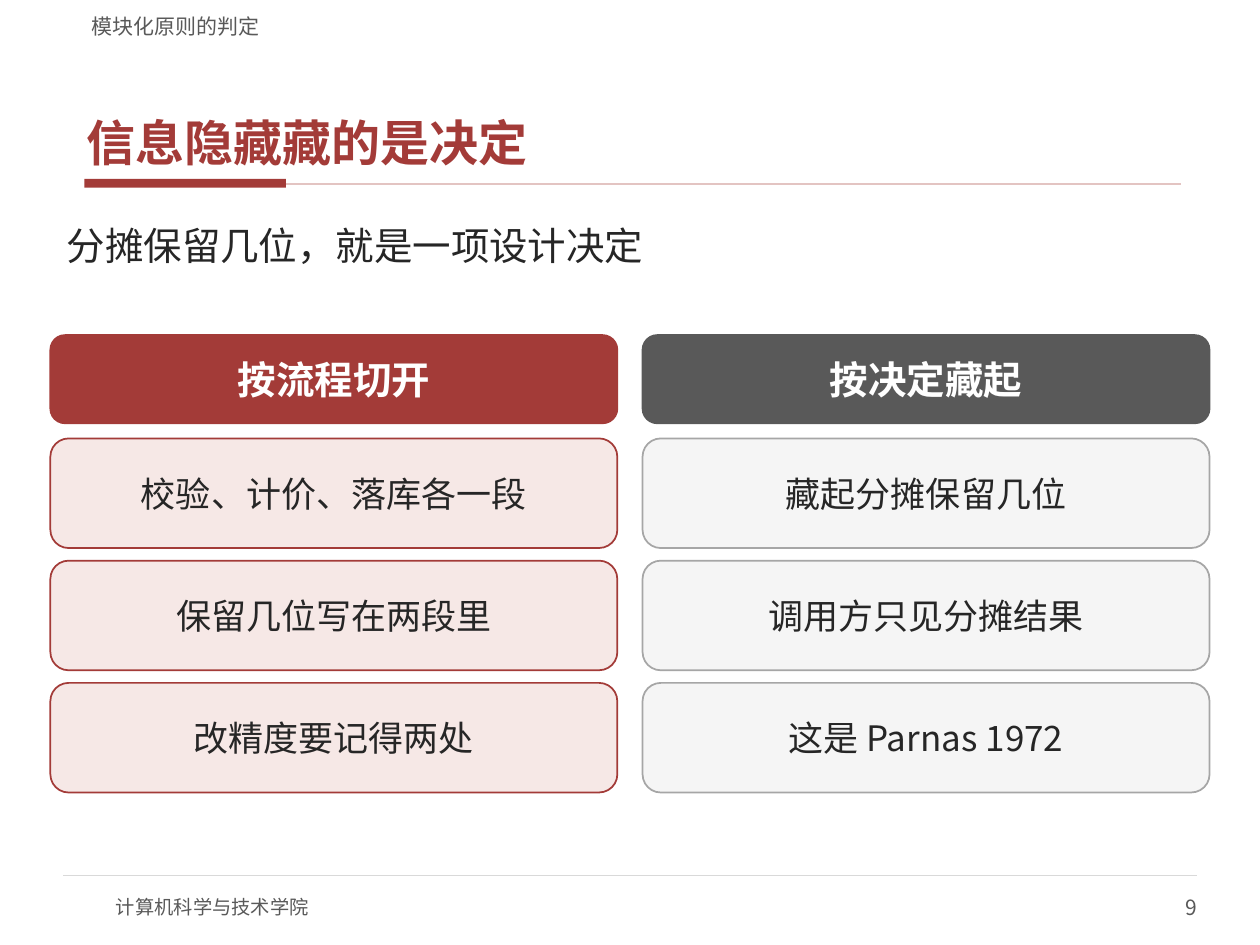
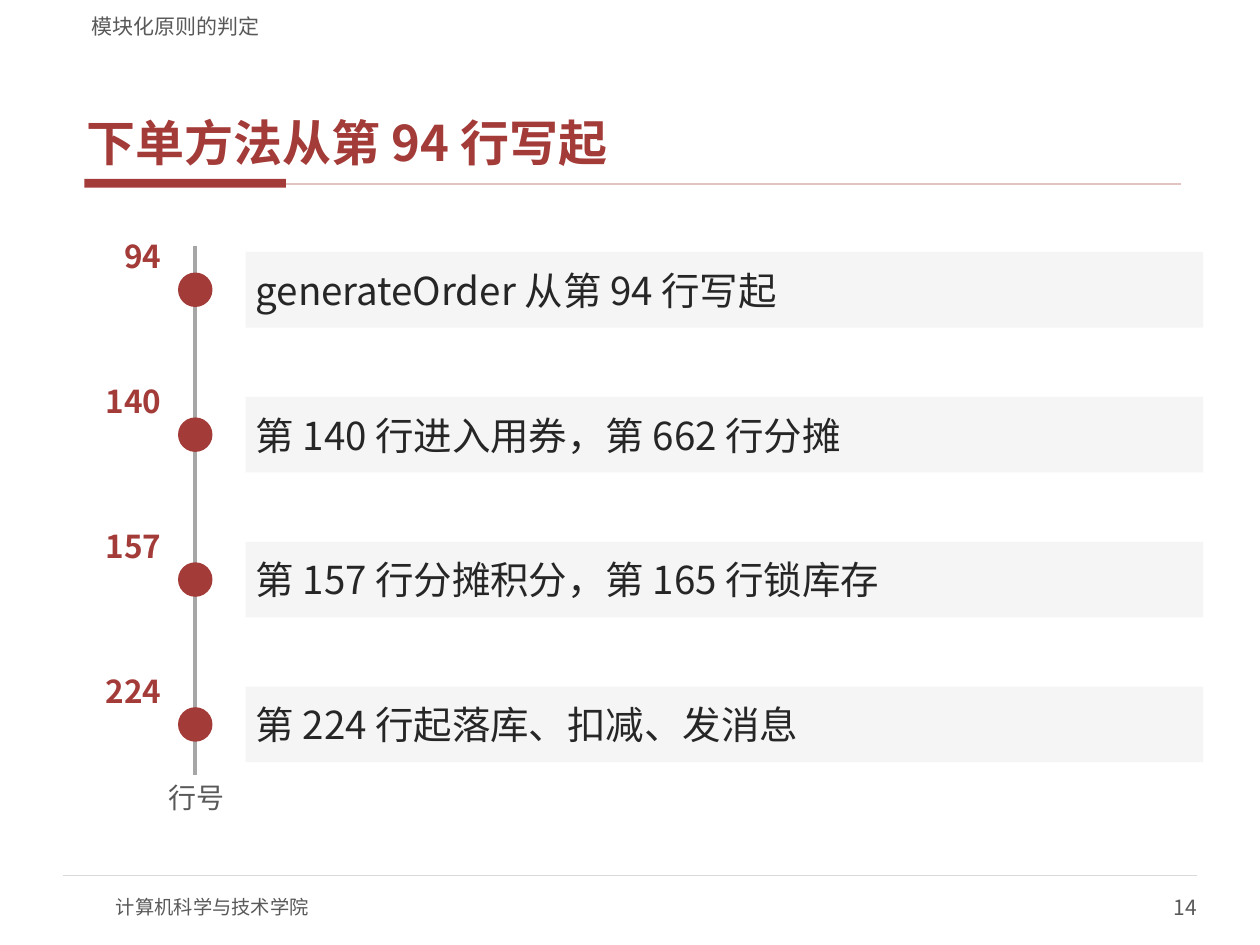
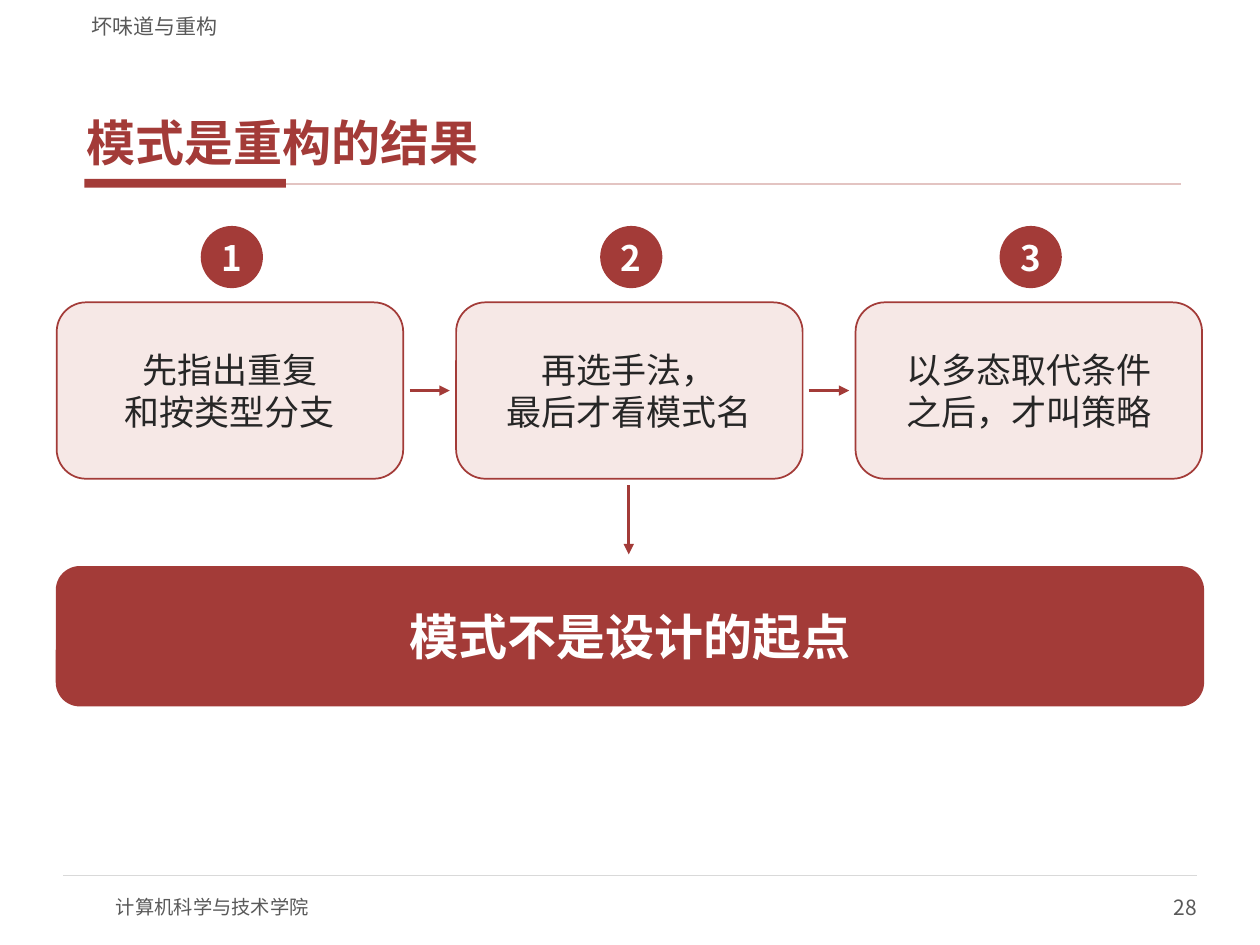
"""Build three lecture slides on modularity and refactoring."""
from lxml.etree import SubElement
from pptx import Presentation
from pptx.dml.color import RGBColor
from pptx.enum.shapes import MSO_CONNECTOR, MSO_SHAPE
from pptx.enum.text import MSO_ANCHOR, MSO_AUTO_SIZE, PP_ALIGN
from pptx.oxml.ns import qn
from pptx.util import Inches, Pt

FONT = "Noto Sans CJK SC"
RED, PINK, ROSE = "A33B38", "F6E8E6", "E3C4C2"
INK, GREY, SILVER, MIST, RULE, WHITE = "262626", "595959", "A6A6A6", "F5F5F5", "D9D9D9", "FFFFFF"
LEFT, CENTER, RIGHT = PP_ALIGN.LEFT, PP_ALIGN.CENTER, PP_ALIGN.RIGHT
RECT, ROUND, OVAL = MSO_SHAPE.RECTANGLE, MSO_SHAPE.ROUNDED_RECTANGLE, MSO_SHAPE.OVAL
color = RGBColor.from_string


def put(page, kind, at, text="", size=20, ink=INK, bold=False, align=LEFT,
        anchor=MSO_ANCHOR.MIDDLE, inset=(0.08, 0.04), fill=None, line=None):
    """Place a preset shape, a text box or the title and write its text."""
    left, top, width, height = [Inches(length) for length in at]
    if kind == "title":
        box = page.shapes.title
        place = {"left": left, "top": top, "width": width, "height": height}
        for name, value in place.items():
            setattr(box, name, value)
    elif kind == "text":
        box = page.shapes.add_textbox(left, top, width, height)
    else:
        box = page.shapes.add_shape(kind, left, top, width, height)
        box.shadow.inherit = False
        box.fill.solid()
        box.fill.fore_color.rgb = color(fill)
        if line:
            box.line.color.rgb = color(line)
            box.line.width = Pt(1)
        else:
            box.line.fill.background()
    if not text:
        return box
    side, edge = Inches(inset[0]), Inches(inset[1])
    frame_format = {"word_wrap": True, "auto_size": MSO_AUTO_SIZE.NONE, "vertical_anchor": anchor,
                    "margin_left": side, "margin_right": side,
                    "margin_top": edge, "margin_bottom": edge}
    for name, value in frame_format.items():
        setattr(box.text_frame, name, value)
    para = box.text_frame.paragraphs[0]
    para.text = text
    para.alignment = align
    for span in para.runs:
        for name, value in {"size": Pt(size), "bold": bold, "name": FONT}.items():
            setattr(span.font, name, value)
        span.font.color.rgb = color(ink)
        SubElement(span.font._element, qn("a:ea"), typeface=FONT)
    return box


def link(page, x1, y1, x2, y2, ink, weight, arrow=False):
    """Draw a straight line, with an arrowhead at its end if asked."""
    line = page.shapes.add_connector(
        MSO_CONNECTOR.STRAIGHT, Inches(x1), Inches(y1), Inches(x2), Inches(y2))
    line.line.color.rgb = color(ink)
    line.line.width = Pt(weight)
    properties = line.element.spPr
    if arrow:
        SubElement(properties.find(qn("a:ln")), qn("a:tailEnd"), type="triangle")
    SubElement(properties, qn("a:effectLst"))
    return line


deck = Presentation()
deck.slide_width, deck.slide_height = Inches(10), Inches(7.5)
layout = deck.slide_layouts[5]
for holder in list(layout.placeholders)[1:]:
    holder.element.getparent().remove(holder.element)

headings = [
    ("模块化原则的判定", "信息隐藏藏的是决定", 9),
    ("模块化原则的判定", "下单方法从第 94 行写起", 14),
    ("坏味道与重构", "模式是重构的结果", 28),
]
pages = []
for section, title, number in headings:
    page = deck.slides.add_slide(layout)
    heading = put(page, "title", (0.63, 0.33, 8.75, 1.05), title, 28, RED, True,
                  anchor=MSO_ANCHOR.BOTTOM, inset=(0.06, 0.02))
    heading.text_frame.paragraphs[0].space_after = Pt(2)
    put(page, "text", (0.63, 0.04, 8.75, 0.27), section, 12, GREY,
        anchor=MSO_ANCHOR.BOTTOM, inset=(0.1, 0))
    put(page, "text", (7.5, 7, 2, 0.4), str(number), 12, GREY, align=RIGHT, inset=(0, 0))
    pages.append(page)
hiding, timeline, patterns = pages

shared = [
    put(hiding, RECT, (0.67, 1.42, 1.6, 0.07), fill=RED),
    link(hiding, 2.27, 1.46, 9.37, 1.46, ROSE, 1),
    link(hiding, 0.5, 6.95, 9.5, 6.95, RULE, 0.75),
    put(hiding, "text", (0.92, 7, 4, 0.4), "计算机科学与技术学院", 11, GREY, inset=(0, 0)),
]
for shape in shared:
    layout.shapes.element.append(shape.element)

put(hiding, "text", (0.45, 1.72, 9.1, 0.86), "分摊保留几位，就是一项设计决定", 22,
    anchor=MSO_ANCHOR.TOP)
columns = [
    ("按流程切开", RED, PINK, RED, ["校验、计价、落库各一段", "保留几位写在两段里", "改精度要记得两处"]),
    ("按决定藏起", GREY, MIST, SILVER, ["藏起分摊保留几位", "调用方只见分摊结果", "这是 Parnas 1972"]),
]
for column, (header, band, fill, line, cards) in enumerate(columns):
    left = 0.4 + 4.7 * column
    put(hiding, ROUND, (left, 2.66, 4.5, 0.7), header, 22, WHITE, True, CENTER,
        fill=band, line=band)
    for row, card in enumerate(cards):
        put(hiding, ROUND, (left, 3.48 + 0.97 * row, 4.5, 0.87), card, align=CENTER,
            fill=fill, line=line)

link(timeline, 1.55, 1.95, 1.55, 6.15, SILVER, 2.25)
events = [
    ("94", "generateOrder 从第 94 行写起"),
    ("140", "第 140 行进入用券，第 662 行分摊"),
    ("157", "第 157 行分摊积分，第 165 行锁库存"),
    ("224", "第 224 行起落库、扣减、发消息"),
]
for index, (line_number, event) in enumerate(events):
    top = 2 + 1.15 * index
    put(timeline, "text", (0.45, top - 0.17, 0.85, 0.4), line_number, 18, RED, True, RIGHT,
        inset=(0.02, 0.01))
    put(timeline, OVAL, (1.42, top + 0.17, 0.26, 0.26), fill=RED, line=RED)
    put(timeline, RECT, (1.95, top, 7.6, 0.6), event, 22, fill=MIST)
put(timeline, "text", (0.3, 6.18, 1.5, 0.3), "行号", 16, GREY, align=RIGHT, inset=(0.02, 0.01))

steps = ["先指出重复\v和按类型分支", "再选手法，\v最后才看模式名", "以多态取代条件\v之后，才叫策略"]
for index, step in enumerate(steps):
    left = 0.45 + 3.17 * index
    put(patterns, OVAL, (left + 1.15, 1.8, 0.48, 0.48), str(index + 1), 20, WHITE, True, CENTER,
        inset=(0, 0), fill=RED, line=RED)
    put(patterns, ROUND, (left, 2.4, 2.75, 1.4), step, align=CENTER, fill=PINK, line=RED)
    if index < len(steps) - 1:
        link(patterns, left + 2.8, 3.1, left + 3.12, 3.1, RED, 1.75, arrow=True)
link(patterns, 4.99, 3.85, 4.99, 4.4, RED, 1.75, arrow=True)
put(patterns, ROUND, (0.45, 4.5, 9.1, 1.1), "模式不是设计的起点", 28, WHITE, True, CENTER,
    fill=RED, line=RED)

deck.save("out.pptx")
